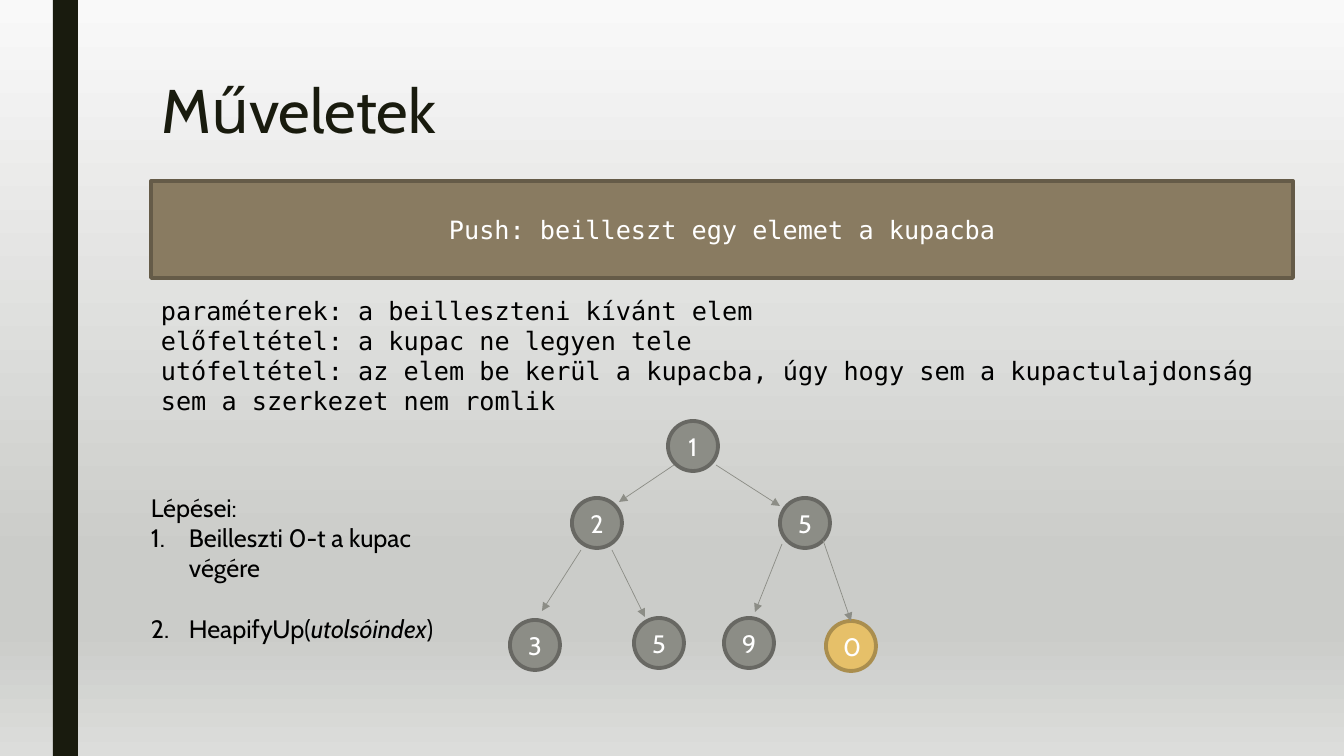
from lxml import etree
from pptx import Presentation
from pptx.dml.color import RGBColor
from pptx.enum.shapes import MSO_CONNECTOR, MSO_SHAPE
from pptx.enum.text import MSO_ANCHOR, PP_ALIGN
from pptx.oxml.ns import qn
from pptx.util import Pt

RECTANGLE, ELLIPSE = MSO_SHAPE.RECTANGLE, MSO_SHAPE.OVAL
NODE_SHAPE = MSO_SHAPE.FLOWCHART_CONNECTOR
STRAIGHT = MSO_CONNECTOR.STRAIGHT
TOP, MIDDLE = MSO_ANCHOR.TOP, MSO_ANCHOR.MIDDLE
LEFT, CENTER = PP_ALIGN.LEFT, PP_ALIGN.CENTER

DARK = RGBColor(0x19, 0x1B, 0x0E)
BLACK = RGBColor(0, 0, 0)
WHITE = RGBColor(0xFF, 0xFF, 0xFF)
BROWN, BROWN_EDGE = RGBColor(0x89, 0x7B, 0x61), RGBColor(0x65, 0x5B, 0x48)
GRAY, GRAY_EDGE = RGBColor(0x8C, 0x8D, 0x86), RGBColor(0x68, 0x68, 0x63)
GOLD, GOLD_EDGE = RGBColor(0xE6, 0xC0, 0x69), RGBColor(0xAA, 0x8E, 0x4E)
BACKGROUND_STOPS = [
    (0, RGBColor(0xF9, 0xF9, 0xF9)),
    (74, RGBColor(0xCB, 0xCC, 0xC9)),
    (83, RGBColor(0xCB, 0xCC, 0xC9)),
    (100, RGBColor(0xDC, 0xDD, 0xDB)),
]
SANS, MONO = "Cabin", "DejaVu Sans Mono"

# Content
TITLE = "Műveletek"
OPERATION = "Push: beilleszt egy elemet a kupacba"
CONDITIONS = [
    "paraméterek: a beilleszteni kívánt elem",
    "előfeltétel: a kupac ne legyen tele",
    "utófeltétel: az elem be kerül a kupacba, úgy hogy sem a kupactulajdonság "
    "sem a szerkezet nem romlik",
]
STEPS_HEADING = "Lépései:"
# Each step is a list of (text, italic)
STEPS = [
    [("Beilleszti 0-t a kupac végére", False)],
    [("HeapifyUp(", False), ("utolsóindex", True), (")", False)],
]
# Heap nodes: label, left, top
HEAP_NODES = [
    ("1", 668, 421),
    ("2", 572, 498), ("5", 780, 498),
    ("3", 510, 620), ("5", 634, 618), ("9", 724, 618),
]
NEW_NODE = ("0", 826, 621)
# Heap arrows: start x, start y, end x, end y
HEAP_ARROWS = [
    (674, 465, 619, 502), (716, 465, 780, 506),
    (581, 550, 542, 611), (612, 550, 645, 617),
    (782, 544, 755, 612), (823, 540, 851, 621),
]
NODE_SIZE = 50
INDENT = 38
SLIDE_WIDTH, SLIDE_HEIGHT = 1344, 756


def px(length):
    return round(length * 914400 / 100.8)


def format_text(paragraphs, font_name, size, color, alignment=LEFT):
    for paragraph in paragraphs:
        paragraph.alignment = alignment
        for run in paragraph.runs:
            run.font.name = font_name
            run.font.size = Pt(size)
            run.font.color.rgb = color


def add_box(slide, kind, box, fill, edge=None, text="", font_name=SANS):
    shape = slide.shapes.add_shape(kind, *map(px, box))
    shape.shadow.inherit = False
    shape.fill.solid()
    shape.fill.fore_color.rgb = fill
    if edge is None:
        shape.line.fill.background()
    else:
        shape.line.color.rgb = edge
        shape.line.width = Pt(2.75)
    if text:
        frame = shape.text_frame
        frame.text = text
        frame.vertical_anchor = MIDDLE
        format_text(frame.paragraphs, font_name, 18, WHITE, CENTER)


def add_text(slide, box, lines, font_name):
    frame = slide.shapes.add_textbox(*map(px, box)).text_frame
    frame.word_wrap = True
    frame.text = "\n".join(lines)
    format_text(frame.paragraphs, font_name, 18, BLACK)
    return frame


def add_arrow(slide, points):
    arrow = slide.shapes.add_connector(STRAIGHT, *map(px, points))
    arrow.line.color.rgb = GRAY
    arrow.line.width = Pt(0.5)
    line = arrow.line._get_or_add_ln()
    etree.SubElement(line, qn("a:tailEnd"), type="triangle")
    etree.SubElement(arrow._element.spPr, qn("a:effectLst"))


def set_background(slide):
    fill = slide.background.fill
    fill.gradient()
    fill.gradient_angle = 270
    stops = slide.background._cSld.find(".//" + qn("a:gsLst"))
    stops.clear()
    for position, color in BACKGROUND_STOPS:
        stop = etree.SubElement(stops, qn("a:gs"), pos=str(position * 1000))
        etree.SubElement(stop, qn("a:srgbClr"), val=str(color))


def add_steps(slide):
    frame = add_text(slide, (141, 487, 307, 163), [STEPS_HEADING], SANS)
    for index, step in enumerate(STEPS):
        paragraph = frame.add_paragraph()
        properties = paragraph._p.get_or_add_pPr()
        properties.set("marL", str(px(INDENT)))
        properties.set("indent", str(-px(INDENT)))
        etree.SubElement(properties, qn("a:buFont"), typeface="+mj-lt")
        etree.SubElement(properties, qn("a:buAutoNum"), type="arabicPeriod")
        if index:
            paragraph.space_before = Pt(21.6)
        for text, italic in step:
            run = paragraph.add_run()
            run.text = text
            run.font.italic = italic
        format_text([paragraph], SANS, 18, BLACK)


def main():
    presentation = Presentation()
    presentation.slide_width = px(SLIDE_WIDTH)
    presentation.slide_height = px(SLIDE_HEIGHT)
    slide = presentation.slides.add_slide(presentation.slide_layouts[5])
    set_background(slide)

    # Side band and title
    add_box(slide, RECTANGLE, (53, 0, 25, SLIDE_HEIGHT), DARK)
    title = slide.shapes.title
    title.left, title.top, title.width, title.height = map(px, (151, 76, 1058, 163))
    title.text_frame.text = TITLE
    title.text_frame.vertical_anchor = TOP
    title.text_frame.paragraphs[0].line_spacing = 0.89
    format_text(title.text_frame.paragraphs, SANS, 44, DARK)

    # Operation and its conditions
    add_box(slide, RECTANGLE, (151, 181, 1142, 97), BROWN, BROWN_EDGE, OPERATION, MONO)
    add_text(slide, (151, 290, 1135, 132), CONDITIONS, MONO)

    # Heap
    for label, left, top in HEAP_NODES:
        add_box(slide, NODE_SHAPE, (left, top, NODE_SIZE, NODE_SIZE), GRAY, GRAY_EDGE, label)
    label, left, top = NEW_NODE
    add_box(slide, ELLIPSE, (left, top, NODE_SIZE, NODE_SIZE), GOLD, GOLD_EDGE, label)
    for points in HEAP_ARROWS:
        add_arrow(slide, points)

    # Steps
    add_steps(slide)
    presentation.save("out.pptx")


if __name__ == "__main__":
    main()
